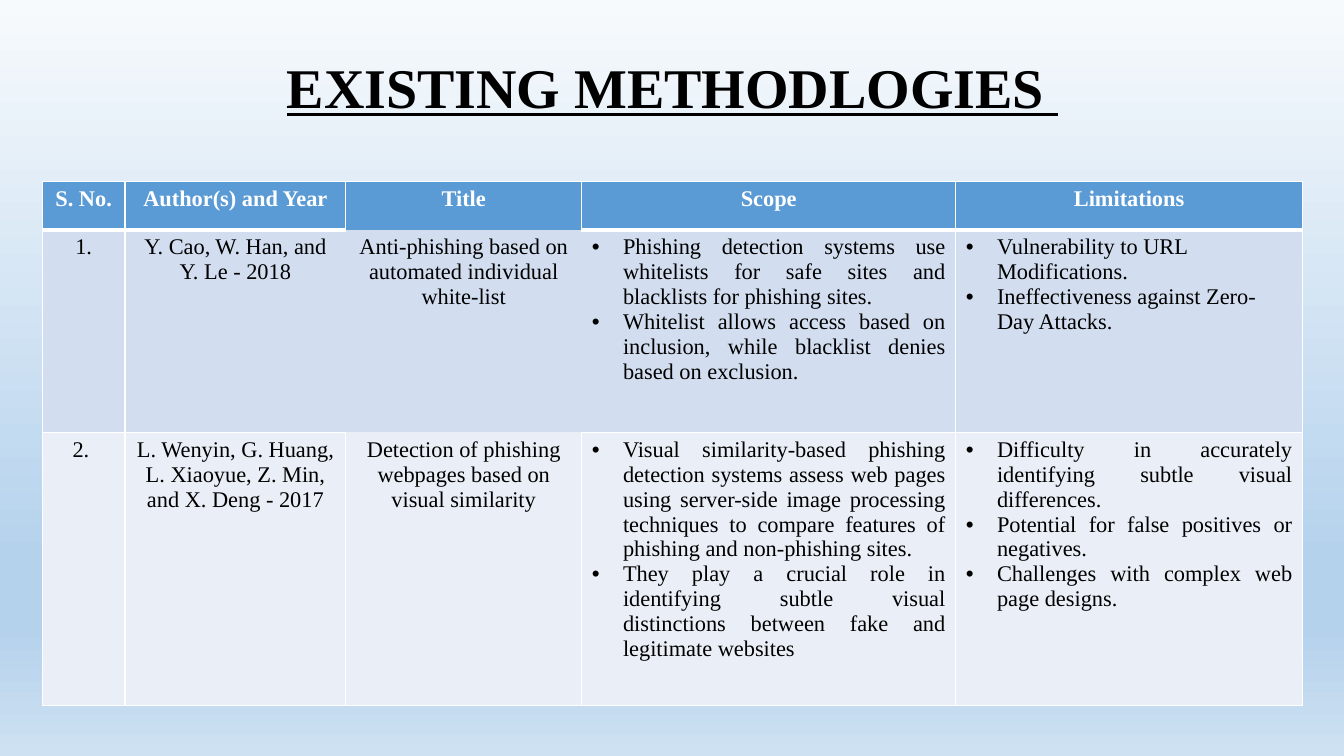
import lxml.etree
import pptx
import pptx.dml.color
import pptx.enum.text
import pptx.oxml.ns
import pptx.util

PX = 9144  # EMU per px, at 100 px to the inch
qn = pptx.oxml.ns.qn
ALIGN = pptx.enum.text.PP_ALIGN

THEME = {
    "font": "Times New Roman",
    "title_size": 40,
    "table_size": 16,
    "text": "000000",
    "header_text": "FFFFFF",
    "border": "FFFFFF",
    "row_fills": ["5B9BD5", "D2DEEF", "EAEFF7"],
    "background": [(0, "F7FAFD"), (74, "B5D2EC"), (83, "B5D2EC"), (100, "CEE1F2")],
}
COLUMN_WIDTHS = [82, 219, 234, 371, 344]
ROW_HEIGHTS = [48, 201, 271]
BULLET_INDENT = 31
UNBORDERED = (1, 2)
# Border tag -> step to the neighbouring cell, in schema order
SIDES = {"a:lnL": (0, -1), "a:lnR": (0, 1), "a:lnT": (-1, 0), "a:lnB": (1, 0)}

# A list holds bullets, a string is a centred paragraph
ROWS = [
    ["S. No.", "Author(s) and Year", "Title", "Scope", "Limitations"],
    [
        "1.",
        "Y. Cao, W. Han, and Y. Le - 2018",
        "Anti-phishing based on automated individual white-list",
        [
            "Phishing detection systems use whitelists for safe sites and blacklists for phishing sites. ",
            "Whitelist allows access based on inclusion, while blacklist denies based on exclusion.",
        ],
        [
            "Vulnerability to URL Modifications.",
            "Ineffectiveness against Zero-Day Attacks.",
        ],
    ],
    [
        "2. ",
        "L. Wenyin, G. Huang, L. Xiaoyue, Z. Min, and X. Deng - 2017",
        "Detection of phishing webpages based on visual similarity",
        [
            "Visual similarity-based phishing detection systems assess web pages using server-side "
            "image processing techniques to compare features of phishing and non-phishing sites. ",
            "They play a crucial role in identifying subtle visual distinctions between fake and "
            "legitimate websites ",
        ],
        [
            "Difficulty in accurately identifying subtle visual differences.",
            "Potential for false positives or negatives.",
            "Challenges with complex web page designs.",
        ],
    ],
]
LEFT_ALIGNED = (1, 4)


def write(para, text, align, size, color, **formats):
    """Fill a paragraph with one formatted run."""
    para.alignment = align
    span = para.add_run()
    span.text = text
    span.font.color.rgb = pptx.dml.color.RGBColor.from_string(color)
    formats.update(name=THEME["font"], size=pptx.util.Pt(size))
    for name, value in formats.items():
        setattr(span.font, name, value)


def add_element(parent, tag, **attributes):
    return lxml.etree.SubElement(parent, qn(tag), attributes)


deck = pptx.Presentation()
deck.slide_width, deck.slide_height = 1333 * PX, 750 * PX
page = deck.slides.add_slide(deck.slide_layouts[5])

# Background
background = page.background.fill
background.gradient()
background.gradient_angle = 270
stops = page.element.find(".//" + qn("a:gsLst"))
for stop in list(stops):
    stops.remove(stop)
for percent, color in THEME["background"]:
    stop = add_element(stops, "a:gs", pos=str(percent * 1000))
    add_element(stop, "a:srgbClr", val=color)

# Title
title = page.shapes.title
frame = {"left": 92, "top": 33, "width": 1150, "height": 113}
for name, length in frame.items():
    setattr(title, name, length * PX)
title.text_frame.vertical_anchor = pptx.enum.text.MSO_ANCHOR.MIDDLE
heading = title.text_frame.paragraphs[0]
heading.line_spacing = 0.9
write(heading, "EXISTING METHODLOGIES ", ALIGN.CENTER, THEME["title_size"], THEME["text"],
      bold=True, underline=True)

# Table
table = page.shapes.add_table(
    len(ROW_HEIGHTS), len(COLUMN_WIDTHS), 42 * PX, 180 * PX,
    sum(COLUMN_WIDTHS) * PX, sum(ROW_HEIGHTS) * PX).table
for column, width in zip(table.columns, COLUMN_WIDTHS):
    column.width = width * PX
for row, height in zip(table.rows, ROW_HEIGHTS):
    row.height = height * PX

for r, entries in enumerate(ROWS):
    for c, entry in enumerate(entries):
        cell = table.cell(r, c)
        cell.fill.solid()
        cell.fill.fore_color.rgb = pptx.dml.color.RGBColor.from_string(THEME["row_fills"][r])

        bulleted = isinstance(entry, list)
        align = ALIGN.CENTER
        if bulleted:
            align = ALIGN.LEFT if (r, c) == LEFT_ALIGNED else ALIGN.JUSTIFY
        for i, text in enumerate(entry if bulleted else [entry]):
            para = cell.text_frame.add_paragraph() if i else cell.text_frame.paragraphs[0]
            write(para, text, align, THEME["table_size"],
                  THEME["text"] if r else THEME["header_text"], bold=r == 0)
            if bulleted:
                properties = para._p.get_or_add_pPr()
                properties.set("marL", str(BULLET_INDENT * PX))
                properties.set("indent", str(-BULLET_INDENT * PX))
                add_element(properties, "a:buFont", typeface="Arial")
                add_element(properties, "a:buChar", char="•")

        cell_properties = cell._tc.get_or_add_tcPr()
        for i, (tag, (down, right)) in enumerate(SIDES.items()):
            neighbour = (r + down, c + right)
            under_header = {r, neighbour[0]} == {0, 1}
            border = add_element(cell_properties, tag,
                                 w=str(pptx.util.Pt(3 if under_header else 1)))
            if UNBORDERED in ((r, c), neighbour):
                add_element(border, "a:noFill")
            else:
                add_element(add_element(border, "a:solidFill"), "a:srgbClr", val=THEME["border"])
            cell_properties.insert(i, border)

deck.save("out.pptx")
